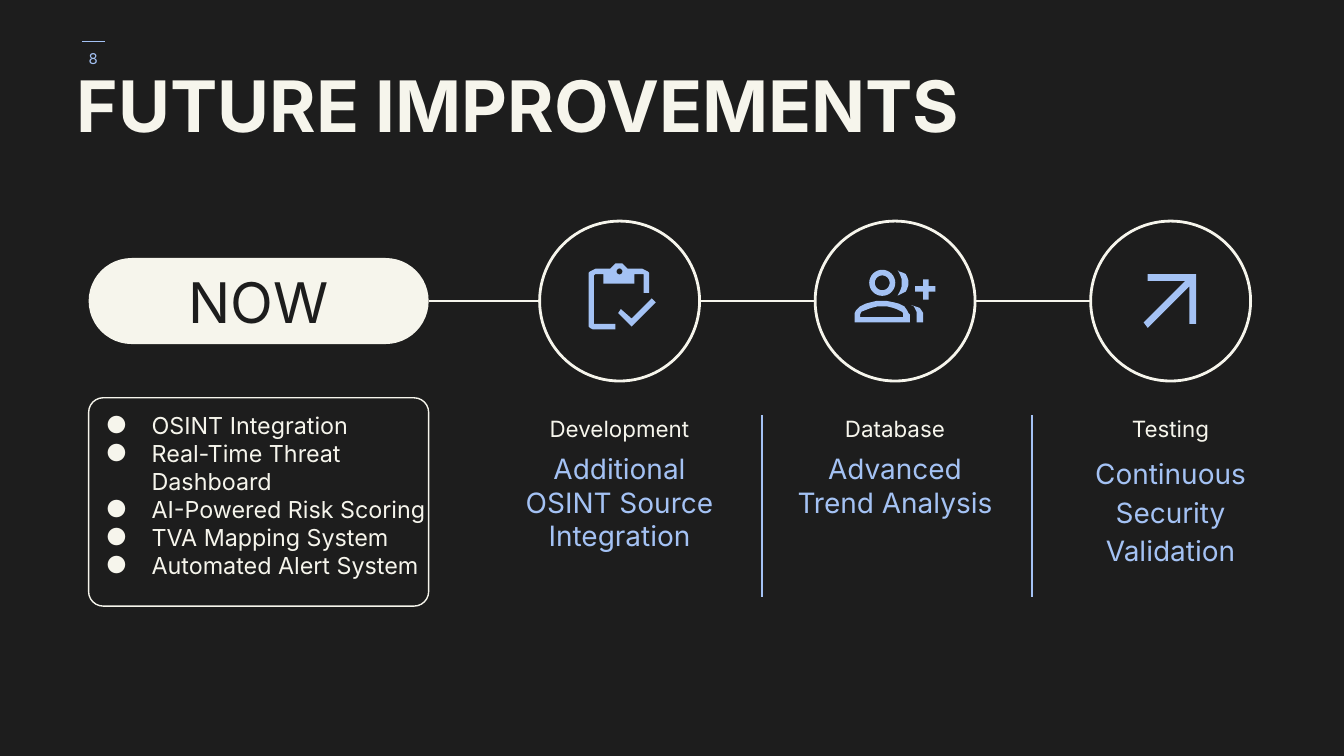
from math import cos, pi, sin

from lxml.etree import SubElement
from pptx import Presentation
from pptx.dml.color import RGBColor
from pptx.enum.shapes import MSO_CONNECTOR as Connector, MSO_SHAPE as Shape
from pptx.enum.text import MSO_ANCHOR as Anchor, MSO_AUTO_SIZE as AutoSize, PP_ALIGN as Align
from pptx.oxml.ns import qn
from pptx.util import Inches, Pt

COLOURS = {"dark": "1D1D1D", "cream": "F6F5EC", "blue": "A4C2F4"}
FONT = "Inter"


def ring(centre_x, centre_y, radius, steps=32):
    return [(centre_x + radius * cos(2 * pi * step / steps),
             centre_y + radius * sin(2 * pi * step / steps)) for step in range(steps)]


CLIPBOARD = [
    ring(23, 6, 2.2),
    [(47, 26), (32, 41), (24, 34), (22, 37), (32, 47), (50, 29)],
    [(23, 0), (20, 0), (19, 1), (17, 3), (16, 4), (5, 4), (3, 5), (1, 6), (0, 7), (0, 47),
     (1, 48), (3, 49), (20, 49), (20, 45), (4, 45), (4, 9), (5, 8), (11, 8), (11, 15),
     (34, 15), (34, 8), (41, 8), (41, 22), (45, 22), (45, 7), (44, 6), (42, 5), (40, 4),
     (29, 4), (28, 3), (26, 1), (25, 0)],
]
PEOPLE = [
    ring(20.5, 9.5, 5.5),
    ring(20.5, 9.5, 9.7),
    [(32, 0), (33, 2), (34, 4), (35, 7), (35, 12), (34, 15), (33, 17), (32, 19), (36, 17),
     (38, 16), (39, 14), (40, 11), (40, 8), (39, 5), (38, 3), (36, 2), (33, 1)],
    [(51, 7), (51, 12), (45, 12), (45, 16), (51, 16), (51, 22), (55, 22), (55, 16), (60, 16),
     (60, 12), (55, 12), (55, 7)],
    [(20, 27), (24, 27), (28, 28), (31, 29), (35, 31), (36, 32), (36, 35), (4, 35), (4, 33),
     (5, 31), (10, 29), (13, 28), (17, 27)],
    [(20, 23), (16, 23), (12, 24), (8, 25), (4, 27), (3, 28), (1, 30), (0, 32), (0, 39),
     (41, 39), (41, 33), (40, 32), (39, 30), (37, 27), (33, 25), (29, 24), (24, 23)],
    [(42, 26), (44, 27), (45, 29), (46, 31), (46, 39), (51, 39), (51, 32), (49, 29),
     (48, 28), (45, 27)],
]
ARROW = [[(3, 0), (3, 5), (31, 5), (0, 36), (3, 40), (34, 9), (34, 37), (39, 37), (39, 0)]]

TITLE = "FUTURE IMPROVEMENTS"
PAGE_NUMBER = "8"
NOW_LABEL = "NOW"
NOW_ITEMS = ["OSINT Integration", "Real-Time Threat Dashboard", "AI-Powered Risk Scoring",
             "TVA Mapping System", "Automated Alert System"]
STEPS = [
    ("Development", "Additional OSINT Source Integration", 1, CLIPBOARD, (4.38, 1.96)),
    ("Database", "Advanced Trend Analysis", 1, PEOPLE, (6.36, 2.01)),
    ("Testing", "Continuous Security Validation", 1.15, ARROW, (8.51, 2.04)),
]
DIVIDERS = [5.67, 7.68]
NOW_LEFT, NOW_WIDTH = 0.66, 2.53
FIRST_CENTRE, PITCH, DIAMETER, AXIS = 4.61, 2.05, 1.19, 2.24


def colour(name):
    return RGBColor.from_string(COLOURS[name])


def write(shape, text, size=12, color="cream", bold=False, align=Align.LEFT,
          anchor=Anchor.TOP, spacing=1, bullet=None):
    frame = shape.text_frame
    frame.word_wrap = True
    frame.auto_size = AutoSize.NONE
    frame.vertical_anchor = anchor
    frame.margin_left = frame.margin_right = Inches(0.1)
    frame.margin_top = frame.margin_bottom = Inches(0.1)
    frame.text = text
    for paragraph in frame.paragraphs:
        paragraph.alignment = align
        paragraph.line_spacing = spacing
        paragraph.space_before = Pt(0)
        font = paragraph.runs[0].font
        font.name, font.size, font.bold = FONT, Pt(size), bold
        font.color.rgb = colour(color)
        if bullet:
            properties = paragraph._p.get_or_add_pPr()
            properties.set("marL", str(Inches(0.5)))
            properties.set("indent", str(Inches(-0.34)))
            SubElement(properties, qn("a:buFont")).set("typeface", FONT)
            SubElement(properties, qn("a:buChar")).set("char", bullet)


def add_text(slide, text, left, top, width, height, **style):
    box = slide.shapes.add_textbox(Inches(left), Inches(top), Inches(width), Inches(height))
    write(box, text, **style)


def paint(shape, fill=None, line=None, weight=0.75):
    shape.shadow.inherit = False
    for target, name in ((shape.fill, fill), (shape.line.fill, line)):
        if name:
            target.solid()
            target.fore_color.rgb = colour(name)
        else:
            target.background()
    if line:
        shape.line.width = Pt(weight)


def add_shape(slide, kind, left, top, width, height, rounding=None, **style):
    shape = slide.shapes.add_shape(kind, Inches(left), Inches(top), Inches(width), Inches(height))
    if rounding is not None:
        shape.adjustments[0] = rounding
    paint(shape, **style)
    return shape


def add_line(slide, start_x, start_y, end_x, end_y, color="blue", weight=0.75):
    line = slide.shapes.add_connector(Connector.STRAIGHT, Inches(start_x), Inches(start_y),
                                      Inches(end_x), Inches(end_y))
    line.line.color.rgb = colour(color)
    line.line.width = Pt(weight)
    SubElement(line._element.spPr, qn("a:effectLst"))


def add_icon(slide, outlines, left, top):
    contours = [[(Inches(left + x / 100), Inches(top + y / 100)) for x, y in outline]
                for outline in outlines]
    builder = slide.shapes.build_freeform(*contours[0][0])
    builder.add_line_segments(contours[0][1:])
    for contour in contours[1:]:
        builder.move_to(*contour[0])
        builder.add_line_segments(contour[1:])
    paint(builder.convert_to_shape(), fill="blue")


def main():
    """Build the future improvements roadmap slide."""
    presentation = Presentation()
    presentation.slide_width = Inches(10)
    presentation.slide_height = Inches(10) * 9 // 16
    slide = presentation.slides.add_slide(presentation.slide_layouts[5])
    slide.background.fill.solid()
    slide.background.fill.fore_color.rgb = colour("dark")

    title = slide.shapes.title
    title.left, title.top = Inches(0.47), Inches(0.48)
    title.width, title.height = Inches(6.82), Inches(0.71)
    write(title, TITLE, size=38, bold=True, spacing=0.8)
    add_text(slide, PAGE_NUMBER, 0.46, 0.22, 0.47, 0.43, size=8, color="blue",
             align=Align.CENTER, anchor=Anchor.MIDDLE)
    add_line(slide, 0.61, 0.31, 0.78, 0.31)

    pill = add_shape(slide, Shape.ROUNDED_RECTANGLE, NOW_LEFT, 1.92, NOW_WIDTH, 0.64,
                     rounding=0.5, fill="cream")
    write(pill, NOW_LABEL, size=30, color="dark", align=Align.CENTER, anchor=Anchor.MIDDLE)
    add_shape(slide, Shape.ROUNDED_RECTANGLE, NOW_LEFT, 2.96, NOW_WIDTH, 1.55,
              rounding=0.07, line="cream")
    add_text(slide, "\n".join(NOW_ITEMS), 0.53, 2.96, 2.92, 2.01, size=12.5, bullet="●")

    previous_edge = NOW_LEFT + NOW_WIDTH
    for index, (label, detail, spacing, icon, icon_place) in enumerate(STEPS):
        centre = FIRST_CENTRE + index * PITCH
        left = centre - DIAMETER / 2
        add_line(slide, previous_edge, AXIS, left, AXIS, color="cream", weight=1.5)
        add_shape(slide, Shape.FLOWCHART_CONNECTOR, left, AXIS - DIAMETER / 2,
                  DIAMETER, DIAMETER, line="cream", weight=1.5)
        add_icon(slide, icon, *icon_place)
        add_text(slide, label, centre - 0.8, 2.96, 1.6, 0.3, align=Align.CENTER, spacing=1.15)
        add_text(slide, detail, centre - 0.88, 3.26, 1.76, 1.19, size=15, color="blue",
                 align=Align.CENTER, spacing=spacing)
        previous_edge = left + DIAMETER

    for divider in DIVIDERS:
        add_line(slide, divider, 3.09, divider, 4.44)
    presentation.save("out.pptx")


if __name__ == "__main__":
    main()
